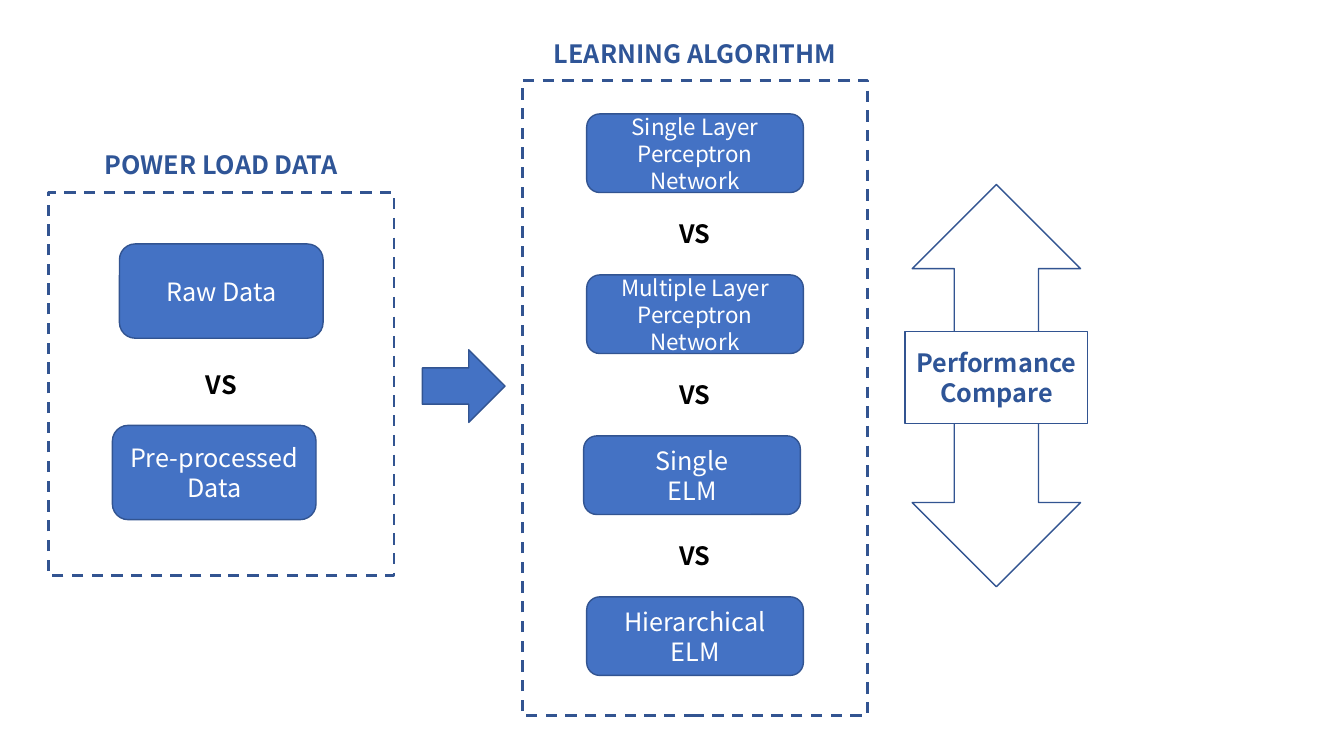
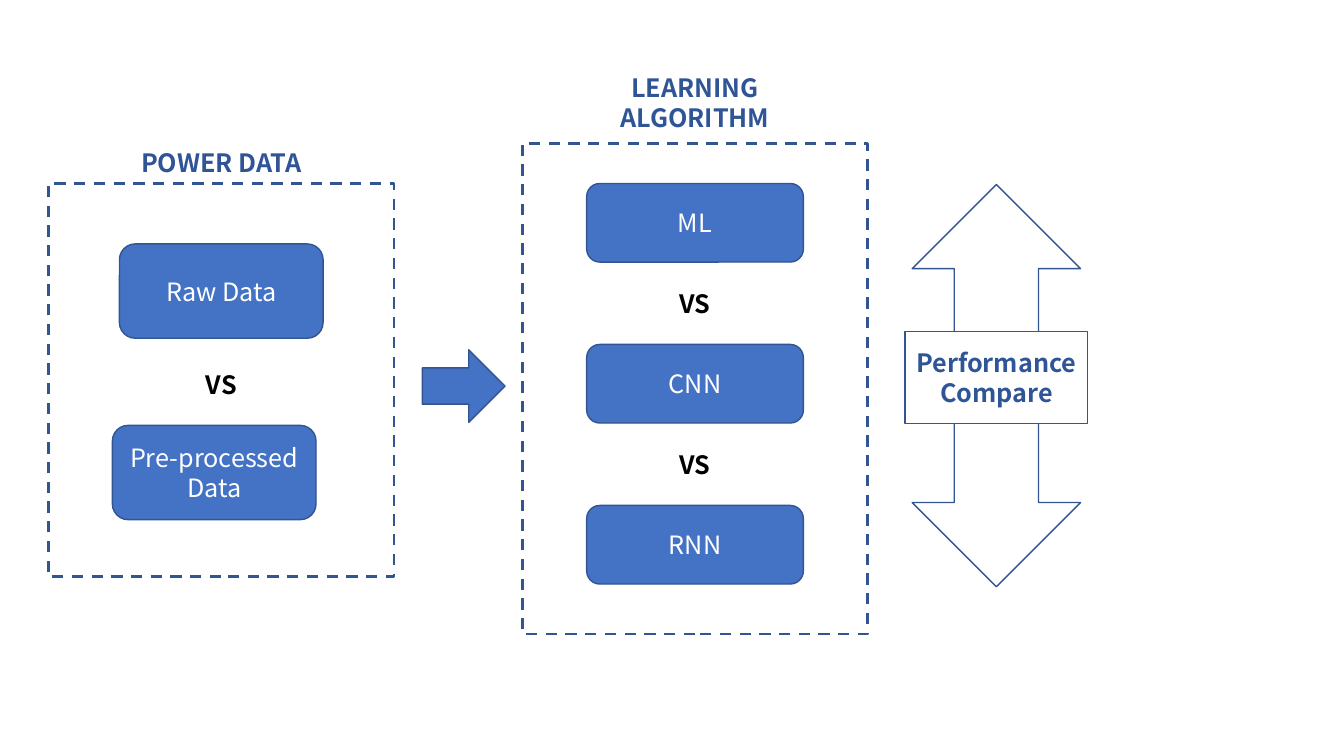
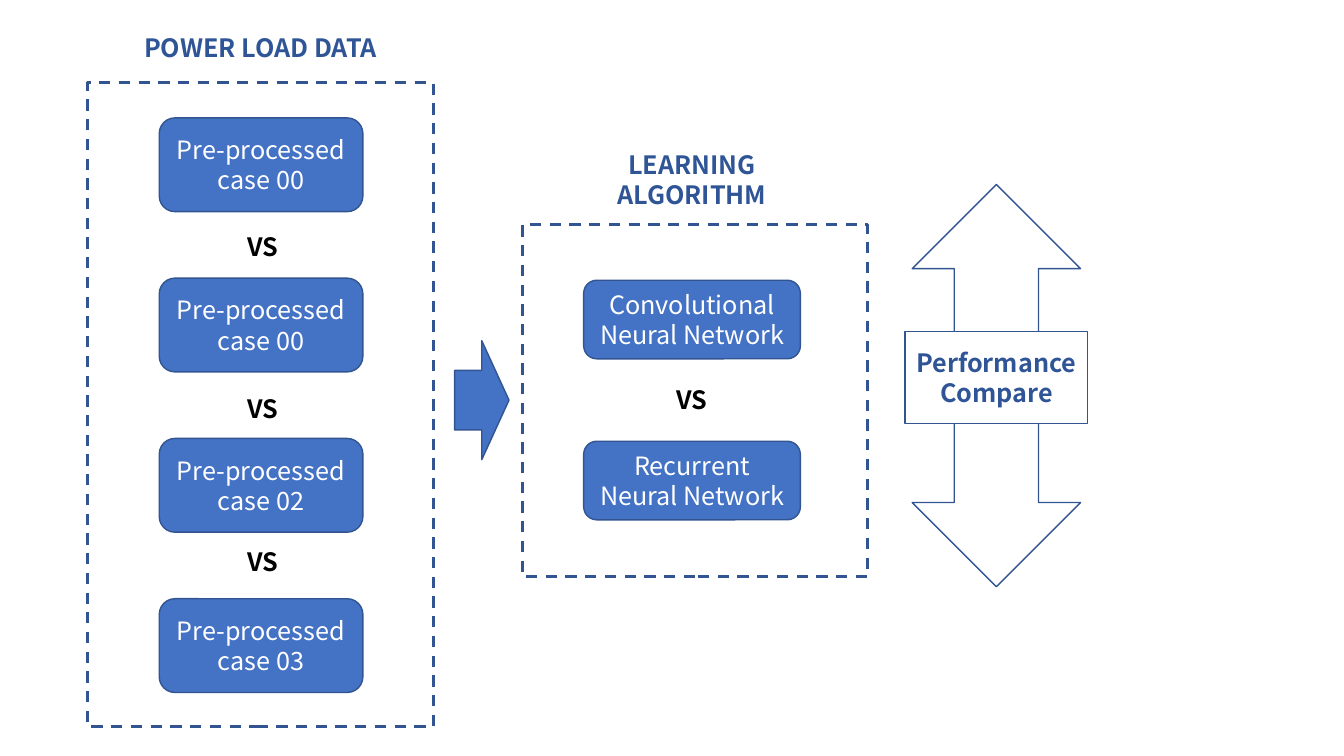
import pptx
import pptx.util
import pptx.dml.color
import pptx.enum.dml
import pptx.enum.shapes
import pptx.enum.text

SHAPE = pptx.enum.shapes.MSO_SHAPE
FONT = "Noto Sans CJK KR"
COLS, ROWS = 133.33, 75
HUES = {"fill": "4472C4", "line": "325491", "head": "2F5597", "vs": "000000", "white": "FFFFFF"}


def hue(name):
    """Return the named colour."""
    return pptx.dml.color.RGBColor.from_string(HUES[name])


class Deck:
    """Hold the style and the current slide of a grid with ten cells to the inch."""

    def __init__(self):
        """Start an empty deck."""
        self.file = pptx.Presentation()
        self.file.slide_width = self.cell(COLS)
        self.file.slide_height = self.cell(ROWS)
        self.slide = None

    def cell(self, count):
        """Turn grid cells into a length."""
        return pptx.util.Inches(count / 10)

    def page(self):
        """Add a blank slide."""
        self.slide = self.file.slides.add_slide(self.file.slide_layouts[6])

    def letter(self, shape, text, color, size=18, bold=False):
        """Put centred text into a shape."""
        frame = shape.text_frame
        frame.text = text
        for para in frame.paragraphs:
            para.alignment = pptx.enum.text.PP_ALIGN.CENTER
            for run in para.runs:
                run.font.name = FONT
                run.font.size = pptx.util.Pt(size)
                run.font.bold = bold
                run.font.color.rgb = hue(color)

    def form(self, kind, col, row, wide, high, fill=None, line=1):
        """Draw an outlined preset shape."""
        shape = self.slide.shapes.add_shape(kind, *map(self.cell, (col, row, wide, high)))
        shape.shadow.inherit = False
        if fill:
            shape.fill.solid()
            shape.fill.fore_color.rgb = hue(fill)
        else:
            shape.fill.background()
        shape.line.color.rgb = hue("line")
        shape.line.width = pptx.util.Pt(line)
        return shape

    def label(self, text, mid, row, wide, high=4, color="head", wrap=True):
        """Set a bold line centred on a column."""
        box = self.slide.shapes.add_textbox(*map(self.cell, (mid - wide / 2, row, wide, high)))
        box.text_frame.word_wrap = wrap
        self.letter(box, text, color, bold=True)

    def pane(self, title, col, row, high, head, wide=33, tall=4, shift=0):
        """Draw a dashed frame under its heading."""
        frame = self.form(SHAPE.RECTANGLE, col, row, 34.3, high, line=2)
        frame.line.dash_style = pptx.enum.dml.MSO_LINE.DASH
        self.label(title, col + 17.15 + shift, head, wide, tall)

    def stack(self, names, mid, row, wide, high, step, shifts=None, drops=None, sizes=None, slide=0):
        """Stack rounded boxes with VS in each gap."""
        count = len(names)
        shifts, drops = shifts or [0] * count, drops or [0] * count
        sizes = sizes or [18] * count
        for i, name in enumerate(names):
            top = row + i * step
            box = self.form(SHAPE.ROUNDED_RECTANGLE, mid - wide / 2 + shifts[i], top, wide, high, "fill")
            self.letter(box, name, "white", sizes[i])
            if i < count - 1:
                gap = top + (high + step) / 2
                self.label("VS", mid + slide, gap - 2 + drops[i], 5.1, color="vs", wrap=False)

    def arrow(self, col, row, wide, high):
        """Draw the arrow from data to algorithm."""
        self.form(SHAPE.RIGHT_ARROW, col, row, wide, high, "fill")

    def score(self):
        """Draw the comparison arrow and its caption."""
        self.form(SHAPE.UP_DOWN_ARROW, 90.5, 18.3, 16.7, 39.9)
        box = self.form(SHAPE.RECTANGLE, 89.8, 32.9, 18.1, 9.1, "white")
        self.letter(box, "Performance Compare", "head", bold=True)

    def raw(self, title, row, high, head):
        """Draw the raw and pre-processed data side."""
        self.arrow(41.9, 34.7, 8.2, 7.2)
        self.pane(title, 4.8, row, high, head)
        self.stack(["Raw Data", "Pre-processed Data"], 21.95, 24.2, 20.2, 9.35, 18,
                   shifts=[0, -0.7], drops=[0.3])

    def nets(self, names, mid, row, **more):
        """Stack the learning algorithms."""
        self.stack(names, mid, row, 21.5, 7.8, 15.97, **more)


def main():
    """Build the three slides."""
    deck = Deck()

    deck.page()
    deck.raw("POWER LOAD DATA", 19.1, 38, 14.3)
    deck.pane("LEARNING ALGORITHM", 51.8, 8, 63, 3.3)
    deck.nets(["Single Layer Perceptron Network", "Multiple Layer Perceptron Network",
               "Single\nELM", "Hierarchical ELM"], 68.95, 11.3,
              shifts=[0, 0, -0.3, 0], sizes=[16, 16, 18, 18])
    deck.score()

    deck.page()
    deck.raw("POWER DATA", 18.2, 39, 14.1)
    deck.pane("LEARNING ALGORITHM", 51.8, 14.2, 48.7, 6.7, 18.4, 7.1)
    deck.nets(["ML", "CNN", "RNN"], 68.95, 18.2)
    deck.score()

    deck.page()
    deck.arrow(45.1, 33.8, 5.4, 11.8)
    deck.pane("POWER LOAD DATA", 8.7, 8.2, 63.9, 2.7)
    deck.stack([f"Pre-processed case {case}" for case in ("00", "00", "02", "03")],
               25.9, 11.7, 20.2, 9.3, 15.9, drops=[0.2, 0.3, -0.4], slide=0.2)
    deck.pane("LEARNING ALGORITHM", 51.8, 22.3, 34.9, 14.3, 18.4, 7.1, shift=-0.3)
    deck.nets(["Convolutional Neural Network", "Recurrent Neural Network"], 68.65, 27.8)
    deck.score()

    deck.file.save("out.pptx")


if __name__ == "__main__":
    main()
